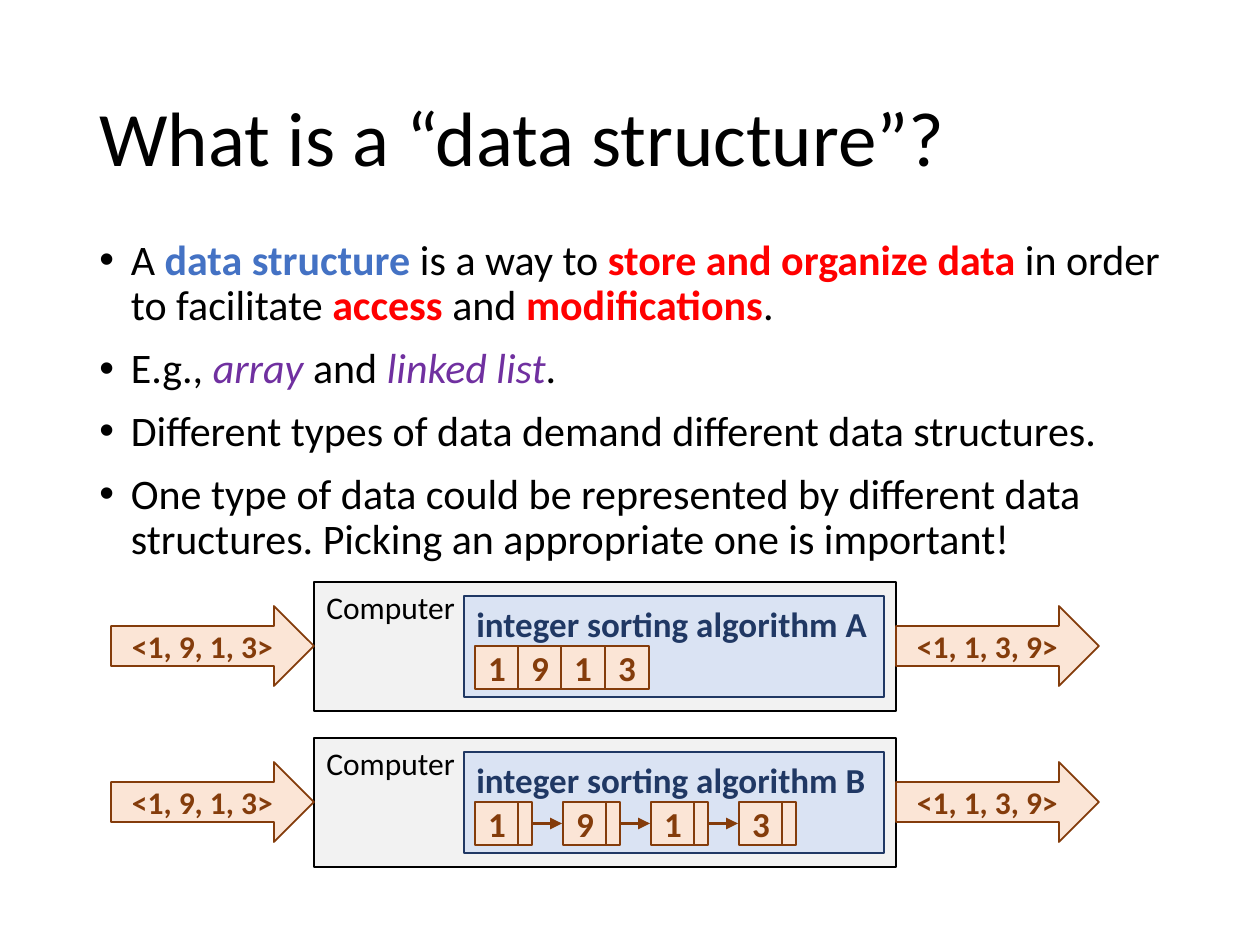
import pptx
import pptx.util
import pptx.dml.color
import pptx.enum.shapes
import pptx.enum.text
import pptx.oxml.ns
from lxml import etree

# Content
COLORS = {"black": "000000", "blue": "4472C4", "red": "FF0000", "purple": "7030A0",
          "gray": "F2F2F2", "peach": "FBE5D6", "brown": "843C0B",
          "pale": "DAE3F3", "navy": "203864"}
TITLE = "What is a “data structure”?"
TERM = {"color": "blue", "bold": True}
KEY = {"color": "red", "bold": True}
EXAMPLE = {"color": "purple", "italic": True}
BULLETS = [
    [("A ", {}), ("data structure", TERM), (" is a way to ", {}),
     ("store and organize data", KEY), (" in order to facilitate ", {}),
     ("access", KEY), (" and ", {}), ("modifications", KEY), (".", {})],
    [("E.g., ", {}), ("array", EXAMPLE), (" and ", {}), ("linked list", EXAMPLE), (".", {})],
    [("Different types of data demand different data structures.", {})],
    [("One type of data could be represented by different data structures. "
      "Picking an appropriate one is important!", {})],
]
INPUT, OUTPUT = "<1, 9, 1, 3>", "<1, 1, 3, 9>"
VALUES = ["1", "9", "1", "3"]
ALGORITHMS = [("integer sorting algorithm A", "array"),
              ("integer sorting algorithm B", "linked list")]

# Layout in pixels
SCALE = 914400 // 126
ROW_TOP, ROW_PITCH = 582, 156
CELL_LEFT, CELL_WIDTH, CELL_HEIGHT = 475, 44, 43
ARRAY_SPAN, NODE_PITCH, POINTER_WIDTH = 130, 88, 14

SHAPES = pptx.enum.shapes.MSO_SHAPE
ALIGN = pptx.enum.text.PP_ALIGN
ANCHOR = pptx.enum.text.MSO_ANCHOR


def px(*lengths):
    return [pptx.util.Emu(round(length * SCALE)) for length in lengths]


def rgb(name):
    return pptx.dml.color.RGBColor.from_string(COLORS[name])


def add_text(paragraph, text, size=18, color="black", bold=False, italic=False):
    run = paragraph.add_run()
    run.text = text
    font = run.font
    font.name, font.size = "Calibri", pptx.util.Pt(size)
    font.bold, font.italic = bold, italic
    font.color.rgb = rgb(color)


def add_text_box(slide, box, anchor):
    frame = slide.shapes.add_textbox(*px(*box)).text_frame
    frame.word_wrap = True
    frame.vertical_anchor = anchor
    return frame


def add_bullet(paragraph):
    properties = paragraph._p.get_or_add_pPr()
    indent = pptx.util.Inches(0.25)
    properties.set("marL", str(indent))
    properties.set("indent", str(-indent))
    for tag, name, value in (("a:buFont", "typeface", "Arial"), ("a:buChar", "char", "•")):
        etree.SubElement(properties, pptx.oxml.ns.qn(tag)).set(name, value)


def add_box(group, box, fill, line, text="", kind=SHAPES.RECTANGLE, centered=True,
            inset=None, **text_format):
    shape = group.shapes.add_shape(kind, *px(*box))
    shape.shadow.inherit = False
    shape.fill.solid()
    shape.fill.fore_color.rgb = rgb(fill)
    shape.line.color.rgb = rgb(line)
    shape.line.width = pptx.util.Pt(1)
    if text:
        frame = shape.text_frame
        frame.word_wrap = True
        frame.vertical_anchor = ANCHOR.MIDDLE if centered else ANCHOR.TOP
        if inset is not None:
            frame.margin_left = frame.margin_right = inset
        paragraph = frame.paragraphs[0]
        paragraph.alignment = ALIGN.CENTER if centered else ALIGN.LEFT
        add_text(paragraph, text, **text_format)


def add_value(group, left, top, value):
    add_box(group, (left, top, CELL_WIDTH, CELL_HEIGHT), "peach", "brown", value,
            inset=0, size=20, color="brown", bold=True)


def add_link(group, start, end, y):
    connector = group.shapes.add_connector(
        pptx.enum.shapes.MSO_CONNECTOR.STRAIGHT, *px(start, y, end, y))
    connector.line.color.rgb = rgb("brown")
    connector.line.width = pptx.util.Pt(2.25)
    line = connector.line._get_or_add_ln()
    etree.SubElement(line, pptx.oxml.ns.qn("a:tailEnd")).set("type", "triangle")
    etree.SubElement(connector._element.spPr, pptx.oxml.ns.qn("a:effectLst"))


def add_array(group, top):
    for index, value in enumerate(VALUES):
        add_value(group, CELL_LEFT + index * ARRAY_SPAN // 3, top, value)


def add_linked_list(group, top):
    for index, value in enumerate(VALUES):
        left = CELL_LEFT + index * NODE_PITCH
        pointer = left + CELL_WIDTH - 1
        add_value(group, left, top, value)
        add_box(group, (pointer, top, POINTER_WIDTH, CELL_HEIGHT), "peach", "brown")
        if index < len(VALUES) - 1:
            add_link(group, pointer + POINTER_WIDTH, left + NODE_PITCH - 1,
                     top + CELL_HEIGHT / 2)


presentation = pptx.Presentation()
presentation.slide_width, presentation.slide_height = px(1260, 945)
slide = presentation.slides.add_slide(presentation.slide_layouts[6])

# Title and bullets
title = add_text_box(slide, (87, 50, 1086, 183), ANCHOR.MIDDLE).paragraphs[0]
title.line_spacing = 0.9
add_text(title, TITLE, size=44)

body = add_text_box(slide, (87, 233, 1086, 662), ANCHOR.TOP)
for index, runs in enumerate(BULLETS):
    paragraph = body.add_paragraph() if index else body.paragraphs[0]
    paragraph.line_spacing = 0.9
    paragraph.space_before = pptx.util.Pt(10)
    add_bullet(paragraph)
    for text, text_format in runs:
        add_text(paragraph, text, size=24, **text_format)

# One computer per algorithm
for index, (name, structure) in enumerate(ALGORITHMS):
    top = ROW_TOP + index * ROW_PITCH
    group = slide.shapes.add_group_shape()
    add_box(group, (314, top, 582, 129), "gray", "black", "Computer", centered=False)
    for left, text in ((111, INPUT), (896, OUTPUT)):
        add_box(group, (left, top + 24, 203, 80), "peach", "brown", text,
                kind=SHAPES.RIGHT_ARROW, color="brown", bold=True)
    add_box(group, (464, top + 14, 420, 101), "pale", "navy", name, centered=False,
            size=20, color="navy", bold=True)
    draw_structure = add_array if structure == "array" else add_linked_list
    draw_structure(group, top + 64)

presentation.save("out.pptx")
